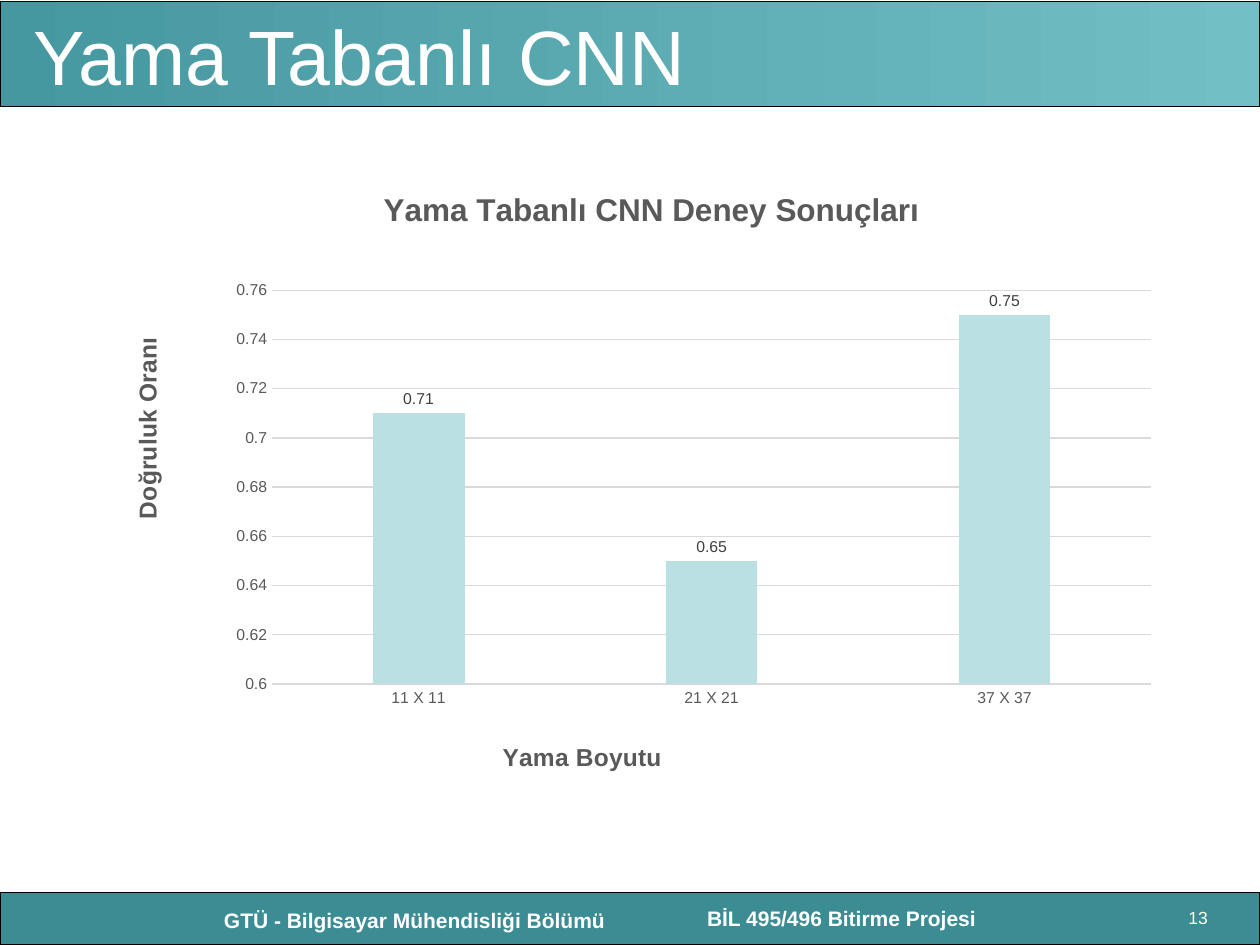
import pptx
import pptx.chart.data
import pptx.dml.color
import pptx.enum.chart
import pptx.enum.shapes
import pptx.enum.text
import pptx.oxml
import pptx.oxml.ns
import pptx.util

Pt = pptx.util.Pt
ALIGN = pptx.enum.text.PP_ALIGN
ANCHOR = pptx.enum.text.MSO_ANCHOR
TICK = pptx.enum.chart.XL_TICK_MARK
WIDTH, HEIGHT = 720, 540
GRAY, LIGHT_GRAY = "595959", "D9D9D9"


def color(value):
    return pptx.dml.color.RGBColor.from_string(value)


def set_layout(element, index, **values):
    """Give a chart title or plot area a fixed place, in fractions."""
    old = element.find(pptx.oxml.ns.qn("c:layout"))
    if old is not None:
        element.remove(old)
    items = "".join(f'<c:{name} val="{value}"/>' for name, value in values.items())
    element.insert(index, pptx.oxml.parse_xml(
        f'<c:layout {pptx.oxml.ns.nsdecls("c")}>'
        f"<c:manualLayout>{items}</c:manualLayout></c:layout>"))


class Style:
    font = "Arial"

    def __init__(self, slide):
        self.slide = slide

    def format_font(self, font, size, hue, bold=False):
        values = {"name": self.font, "size": Pt(size), "bold": bold}
        for name, value in values.items():
            setattr(font, name, value)
        font.color.rgb = color(hue)

    def bar(self, top, height, *hues):
        """A full-width bar, plain with one colour, graded with two."""
        shape = self.slide.shapes.add_shape(
            pptx.enum.shapes.MSO_SHAPE.RECTANGLE, 0, Pt(top), Pt(WIDTH), Pt(height))
        shape.shadow.inherit = False
        if len(hues) == 1:
            shape.fill.solid()
            shape.fill.fore_color.rgb = color(hues[0])
        else:
            shape.fill.gradient()
            shape.fill.gradient_angle = 0
            for stop, hue, position in zip(shape.fill.gradient_stops, hues, (0, 1)):
                stop.color.rgb = color(hue)
                stop.position = position
        shape.line.color.rgb = color("000000")
        shape.line.width = Pt(0.75)

    def text(self, words, place, size, hue="FFFFFF", bold=False,
             align=ALIGN.LEFT, anchor=ANCHOR.TOP):
        box = self.slide.shapes.add_textbox(*map(Pt, place))
        frame = box.text_frame
        for name, value in {"word_wrap": True, "vertical_anchor": anchor}.items():
            setattr(frame, name, value)
        para = frame.paragraphs[0]
        para.alignment = align
        span = para.add_run()
        span.text = words
        self.format_font(span.font, size, hue, bold)

    def chart_title(self, owner, title, words, size, x, y, turn=0):
        owner.has_title = True
        frame = title().text_frame
        span = frame.paragraphs[0].add_run()
        span.text = words
        self.format_font(span.font, size, GRAY, True)
        frame._txBody.bodyPr.set("rot", str(turn * 60000))
        set_layout(title()._element, 1, xMode="edge", yMode="edge", x=x, y=y)

    def column_chart(self, place, categories, values):
        data = pptx.chart.data.CategoryChartData()
        data.categories = categories
        data.add_series("Series 1", values)
        chart = self.slide.shapes.add_chart(
            pptx.enum.chart.XL_CHART_TYPE.COLUMN_CLUSTERED,
            *map(Pt, place), data).chart
        chart.has_legend = False
        self.format_font(chart.font, 10, "000000")

        # Columns and their labels
        plot = chart.plots[0]
        formats = {"gap_width": 219, "overlap": -27,
                   "vary_by_categories": False, "has_data_labels": True}
        for name, value in formats.items():
            setattr(plot, name, value)
        fill = plot.series[0].format.fill
        fill.solid()
        fill.fore_color.rgb = color("BBE0E3")
        labels = plot.data_labels
        labels.show_value = True
        labels.position = pptx.enum.chart.XL_LABEL_POSITION.OUTSIDE_END
        self.format_font(labels.font, 9, "404040")

        # Axes
        across, up = chart.category_axis, chart.value_axis
        for axis in (across, up):
            axis.major_tick_mark = axis.minor_tick_mark = TICK.NONE
            self.format_font(axis.tick_labels.font, 9, GRAY)
        scale = {"minimum_scale": 0.6, "maximum_scale": 0.76,
                 "major_unit": 0.02, "has_major_gridlines": True}
        for name, value in scale.items():
            setattr(up, name, value)
        for line in (across.format.line, up.major_gridlines.format.line):
            line.color.rgb = color(LIGHT_GRAY)
            line.width = Pt(0.75)
        up.format.line.fill.background()

        # Titles and plot area
        self.chart_title(chart, lambda: chart.chart_title,
                         "Yama Tabanlı CNN Deney Sonuçları", 18, 0.25, 0.04)
        self.chart_title(across, lambda: across.axis_title,
                         "Yama Boyutu", 14, 0.36, 0.89)
        self.chart_title(up, lambda: up.axis_title,
                         "Doğruluk Oranı", 14, 0.02, 0.27, turn=-90)
        set_layout(chart._chartSpace.chart.plotArea, 0, layoutTarget="inner",
                   xMode="edge", yMode="edge", x=0.153, y=0.204, w=0.805, h=0.605)


def main():
    deck = pptx.Presentation()
    deck.slide_width, deck.slide_height = Pt(WIDTH), Pt(HEIGHT)
    page = Style(deck.slides.add_slide(deck.slide_layouts[6]))

    # Footer and header bars
    page.bar(510, 30, "3C8C93")
    page.bar(0.7, 60, "4597A0", "72BFC5")

    # Footer texts
    page.text("GTÜ - Bilgisayar Mühendisliği Bölümü", (114, 514.8, 246, 21.6), 12,
              bold=True, align=ALIGN.CENTER)
    page.text("BİL 495/496 Bitirme Projesi", (358, 514.2, 246, 21.6), 12,
              bold=True, align=ALIGN.CENTER)
    page.text("13", (672, 516, 36, 6), 10, "FFFFE5")

    # Title
    page.text("Yama Tabanlı CNN", (12, 9, 618, 45), 44, anchor=ANCHOR.MIDDLE)

    # Results chart
    page.column_chart((60, 90, 624, 372),
                      ("11 X 11", "21 X 21", "37 X 37"), (0.71, 0.65, 0.75))
    deck.save("out.pptx")


if __name__ == "__main__":
    main()
